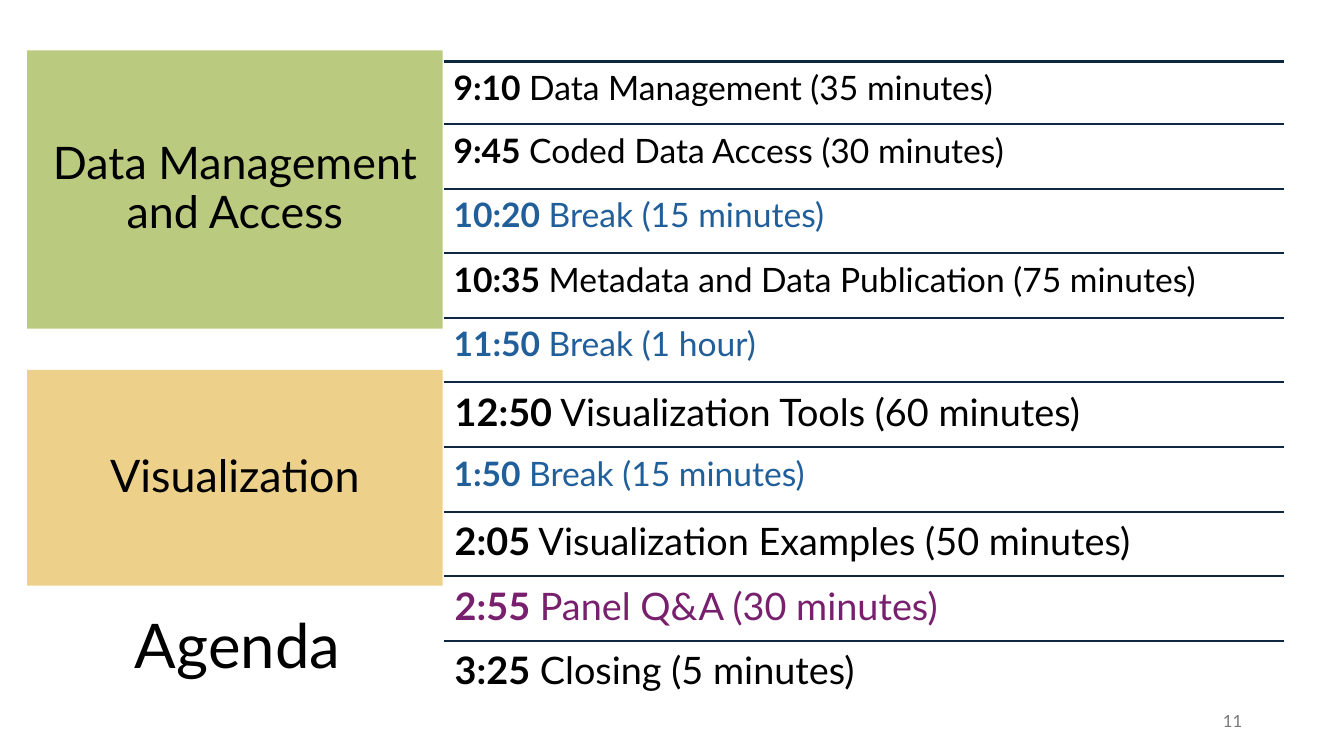
from lxml.etree import SubElement
from pptx import Presentation
from pptx.dml.color import RGBColor
from pptx.enum.shapes import MSO_CONNECTOR as Connector, MSO_SHAPE as Shape
from pptx.enum.text import MSO_ANCHOR as Anchor, PP_ALIGN as Align
from pptx.oxml.ns import qn
from pptx.util import Inches, Pt

BLACK, BLUE, PURPLE, NAVY, GREY = "000000", "215F9A", "78206E", "0E2841", "797979"

SESSIONS = [
    ("9:10", "Data Management (35 minutes)", 24, BLACK),
    ("9:45", "Coded Data Access (30 minutes)", 24, BLACK),
    ("10:20", "Break (15 minutes)", 24, BLUE),
    ("10:35", "Metadata and Data Publication (75 minutes)", 24, BLACK),
    ("11:50", "Break (1 hour)", 24, BLUE),
    ("12:50", "Visualization Tools (60 minutes)", 27, BLACK),
    ("1:50", "Break (15 minutes)", 24, BLUE),
    ("2:05", "Visualization Examples (50 minutes)", 27, BLACK),
    ("2:55", "Panel Q&A (30 minutes)", 27, PURPLE),
    ("3:25", "Closing (5 minutes)", 27, BLACK),
]


def color(value):
    """Turn a hex string into a colour."""
    return RGBColor.from_string(value)


def write(frame, runs, size, ink, align=Align.LEFT, anchor=Anchor.MIDDLE, spacing=0.9):
    """Fill a text frame with one paragraph of (text, bold) runs."""
    frame.word_wrap = True
    frame.vertical_anchor = anchor
    paragraph = frame.paragraphs[0]
    paragraph.alignment = align
    paragraph.line_spacing = spacing
    for text, bold in runs:
        run = paragraph.add_run()
        run.text = text
        run.font.name = "Lato"
        run.font.size = Pt(size)
        run.font.bold = bold
        run.font.color.rgb = color(ink)


def add_label(slide, box, text, size, ink, align=Align.LEFT, spacing=0.9):
    """Place a vertically centred line of text in the box."""
    label = slide.shapes.add_textbox(*map(Inches, box))
    write(label.text_frame, [(text, False)], size, ink, align, spacing=spacing)


def add_topic(slide, box, text, fill, opacity):
    """Place a translucent topic block with a centred name."""
    topic = slide.shapes.add_shape(Shape.RECTANGLE, *map(Inches, box))
    topic.shadow.inherit = False
    topic.line.fill.background()
    topic.fill.solid()
    topic.fill.fore_color.rgb = color(fill)
    tint = topic.fill._xPr.find(qn("a:solidFill"))[0]
    SubElement(tint, qn("a:alpha")).set("val", str(opacity * 1000))
    write(topic.text_frame, [(text, False)], 32, BLACK, Align.CENTER)


def add_session(slide, box, session):
    """Place a rule along the top of the box and the session below it."""
    left, top, width, height = map(Inches, box)
    time, name, size, ink = session
    rule = slide.shapes.add_connector(Connector.STRAIGHT, left, top, left + width, top)
    rule.line.color.rgb = color(NAVY)
    rule.line.width = Pt(1.5)
    SubElement(rule._element.spPr, qn("a:effectLst"))
    entry = slide.shapes.add_textbox(left, top, width, height)
    frame = entry.text_frame
    inset = Inches(0.1 if size == 24 else 0.11)
    frame.margin_left = frame.margin_top = inset
    frame.margin_right = frame.margin_bottom = inset
    write(frame, [(time, True), (" " + name, False)], size, ink, anchor=Anchor.TOP)


def add_schedule(slide, box, sessions):
    """Stack the sessions in the box, the first row slightly shorter."""
    left, top, width, height = box
    first_height = 0.62
    row_height = (height - first_height) / (len(sessions) - 1)
    add_session(slide, (left, top, width, first_height), sessions[0])
    for index, session in enumerate(sessions[1:]):
        row_top = top + first_height + index * row_height
        add_session(slide, (left, row_top, width, row_height), session)


def add_agenda(prs):
    """Build the agenda slide."""
    slide = prs.slides.add_slide(prs.slide_layouts[6])
    add_topic(slide, (0.27, 0.5, 4.12, 2.76), "Data Management and Access", "A9BF61", 80)
    add_schedule(slide, (4.4, 0.61, 8.34, 6.39), SESSIONS)
    add_topic(slide, (0.27, 3.67, 4.12, 2.14), "Visualization", "E1B33F", 60)
    add_label(slide, (1.24, 5.71, 11.5, 1.45), "Agenda", 44, BLACK)
    add_label(slide, (9.42, 6.95, 3, 0.4), "11", 12, GREY, Align.RIGHT, 1.0)


def main():
    """Create and save the presentation."""
    prs = Presentation()
    prs.slide_width, prs.slide_height = Inches(13.33), Inches(7.5)
    add_agenda(prs)
    prs.save("out.pptx")


if __name__ == "__main__":
    main()
